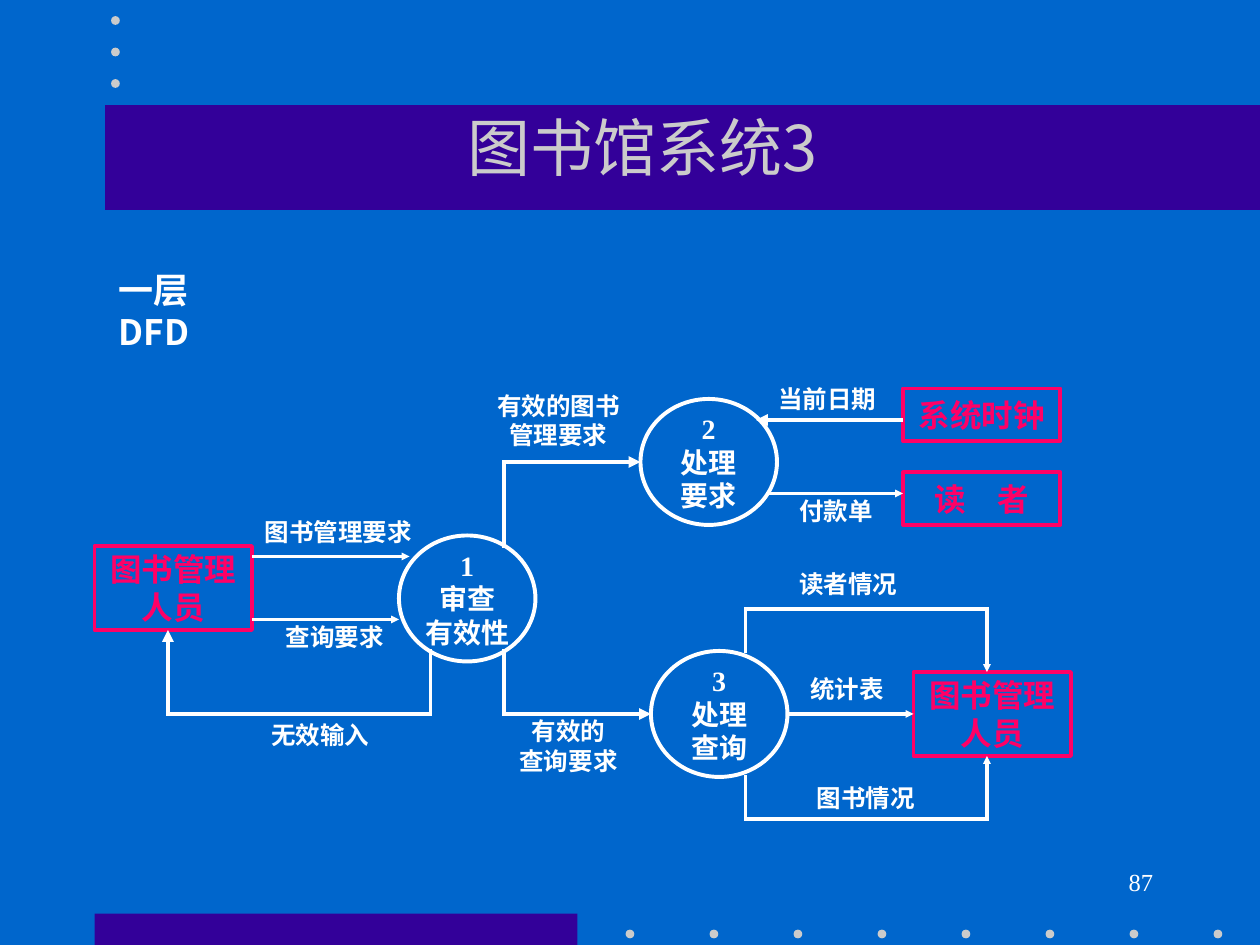
import pptx
import pptx.dml.color
import pptx.enum.shapes
import pptx.enum.text
import pptx.oxml
import pptx.oxml.ns
import pptx.util
from lxml import etree

Pt = pptx.util.Pt
RGBColor = pptx.dml.color.RGBColor
MSO_SHAPE = pptx.enum.shapes.MSO_SHAPE
PP_ALIGN = pptx.enum.text.PP_ALIGN
MSO_ANCHOR = pptx.enum.text.MSO_ANCHOR
qn = pptx.oxml.ns.qn

BLUE = RGBColor(0x00, 0x66, 0xCC)
PURPLE = RGBColor(0x33, 0x00, 0x99)
GRAY = RGBColor(0xCB, 0xCB, 0xCB)
WHITE = RGBColor(0xFF, 0xFF, 0xFF)
PINK = RGBColor(0xFF, 0x00, 0x66)
SERIF = "Times New Roman"
SANS = "Noto Sans CJK SC"
LINE_WIDTH = 2.25
LABEL_INSET = 3

# Decoration: left, top, width, height
BARS = [(54, 522, 276, 18), (60, 60, 660, 60)]
DOT_SIZE = 5
DOTS = [(357.5 + 48 * i, 531.25) for i in range(8)] + [(63.5, 9.25 + 18 * i) for i in range(3)]

# Processes: lines, left, top
PROCESS_SIZE = (78, 72)
PROCESSES = [
    (["1", "审查", "有效性"], 228, 306),
    (["3", "处理", "查询"], 372, 372),
    (["2", "处理", "要求"], 366, 228),
]

# Entities: key, lines, left, top, height
ENTITY_WIDTH = 90
ENTITIES = [
    ("source librarian", ["图书管理", "人员"], 54, 312, 48),
    ("target librarian", ["图书管理", "人员"], 522, 384, 48),
    ("clock", ["系统时钟"], 516, 222, 30),
    ("reader", ["读　者"], 516, 270, 30),
]

# Flows: label lines, label (left, top, width), arrowhead size, route, entity joined at its left side
FLOWS = [
    (["图书管理要求"], (144, 291.6, 98.6), "sm", [(144, 318), (234, 318)], None),
    (["读者情况"], (449.5, 321.8, 70.6), "sm",
     [(426, 372), (426, 348), (564, 348), (564, 384)], None),
    (["统计表"], (455.8, 381.6, 56.2), "sm", [(450, 408), (522, 408)], "target librarian"),
    (["图书情况"], (455.8, 444, 78), "sm",
     [(426, 444), (426, 468), (564, 468), (564, 432)], None),
    (["付款单"], (449.5, 280, 56.6), "sm", [(438, 282), (516, 282)], None),
    (["查询要求"], (156, 352, 70.6), "sm", [(144, 354), (228, 354)], None),
    (["当前日期"], (437.5, 216, 70.6), "med", [(516, 240), (432, 240)], None),
    (["无效输入"], (144, 408, 78), "med",
     [(246, 372), (246, 408), (96, 408), (96, 360)], None),
    (["有效的图书", "管理要求"], (276.6, 219.9, 85), "med",
     [(288, 312), (288, 264), (366, 264)], None),
    (["有效的", "查询要求"], (289.6, 405.8, 70.6), "med",
     [(288, 372), (288, 408), (372, 408)], None),
]


def write_text(shape, lines, size=14, color=WHITE, font=SERIF, bold=True,
               align=PP_ALIGN.CENTER, anchor=MSO_ANCHOR.TOP, wrap=False, inset=None):
    frame = shape.text_frame
    frame.word_wrap = wrap
    frame.vertical_anchor = anchor
    if inset is not None:
        frame.margin_left = frame.margin_right = Pt(inset)
    for index, line in enumerate(lines):
        paragraph = frame.add_paragraph() if index else frame.paragraphs[0]
        paragraph.alignment = align
        run = paragraph.add_run()
        run.text = line
        run.font.size = Pt(size)
        run.font.bold = bold
        run.font.color.rgb = color
        run.font.name = font
        east_asian = etree.SubElement(run.font._element, qn("a:ea"))
        east_asian.set("typeface", SANS)


def add_text_box(slide, lines, left, top, width, height, **text_format):
    box = slide.shapes.add_textbox(Pt(left), Pt(top), Pt(width), Pt(height))
    write_text(box, lines, **text_format)


def add_preset(slide, preset, left, top, width, height, fill=None, line=None):
    shape = slide.shapes.add_shape(preset, Pt(left), Pt(top), Pt(width), Pt(height))
    shape.shadow.inherit = False
    if fill is None:
        shape.fill.background()
    else:
        shape.fill.solid()
        shape.fill.fore_color.rgb = fill
    if line is None:
        shape.line.fill.background()
    else:
        shape.line.color.rgb = line
        shape.line.width = Pt(LINE_WIDTH)
    return shape


def add_route(slide, points, head_size, target):
    """Draw straight segments with closed corners, and an arrowhead on the last."""
    segments = list(zip(points, points[1:]))
    for index, (start, end) in enumerate(segments):
        connector = slide.shapes.add_connector(
            pptx.enum.shapes.MSO_CONNECTOR.STRAIGHT, *(Pt(value) for value in start + end))
        connector.line.color.rgb = WHITE
        connector.line.width = Pt(LINE_WIDTH)
        etree.SubElement(connector._element.spPr, qn("a:effectLst"))
        if index < len(segments) - 1:
            connector.line._get_or_add_ln().set("cap", "sq")
    arrowhead = etree.SubElement(connector.line._get_or_add_ln(), qn("a:tailEnd"))
    for name, value in (("type", "triangle"), ("w", head_size), ("len", head_size)):
        arrowhead.set(name, value)
    if target is not None:
        connector.end_connect(target, 1)


def main():
    presentation = pptx.Presentation()
    presentation.slide_width, presentation.slide_height = Pt(720), Pt(540)
    slide = presentation.slides.add_slide(presentation.slide_layouts[6])
    slide.background.fill.solid()
    slide.background.fill.fore_color.rgb = BLUE

    for bar in BARS:
        add_preset(slide, MSO_SHAPE.RECTANGLE, *bar, fill=PURPLE)
    for left, top in DOTS:
        add_preset(slide, MSO_SHAPE.OVAL, left, top, DOT_SIZE, DOT_SIZE, fill=GRAY)

    add_text_box(slide, ["87"], 516, 492, 150, 36, bold=False, align=PP_ALIGN.RIGHT, wrap=True)
    add_text_box(slide, ["图书馆系统3"], 230.4, 62, 273, 43, size=36, color=GRAY, font=SANS,
                 bold=False, anchor=MSO_ANCHOR.MIDDLE)
    add_text_box(slide, ["一层DFD"], 61, 150, 54, 55, size=20, font=SANS, wrap=True, inset=0)

    for lines, left, top in PROCESSES:
        process = add_preset(slide, MSO_SHAPE.OVAL, left, top, *PROCESS_SIZE, line=WHITE)
        write_text(process, lines, size=16, anchor=MSO_ANCHOR.MIDDLE)

    entities = {}
    for key, lines, left, top, height in ENTITIES:
        entities[key] = add_preset(slide, MSO_SHAPE.RECTANGLE, left, top, ENTITY_WIDTH, height,
                                   line=PINK)
        write_text(entities[key], lines, size=18, color=PINK, anchor=MSO_ANCHOR.MIDDLE)

    for lines, (left, top, width), head_size, route, target in FLOWS:
        add_route(slide, route, head_size, entities.get(target))
        add_text_box(slide, lines, left, top, width, 7 + 17 * len(lines), inset=LABEL_INSET)

    presentation.save("out.pptx")


if __name__ == "__main__":
    main()
